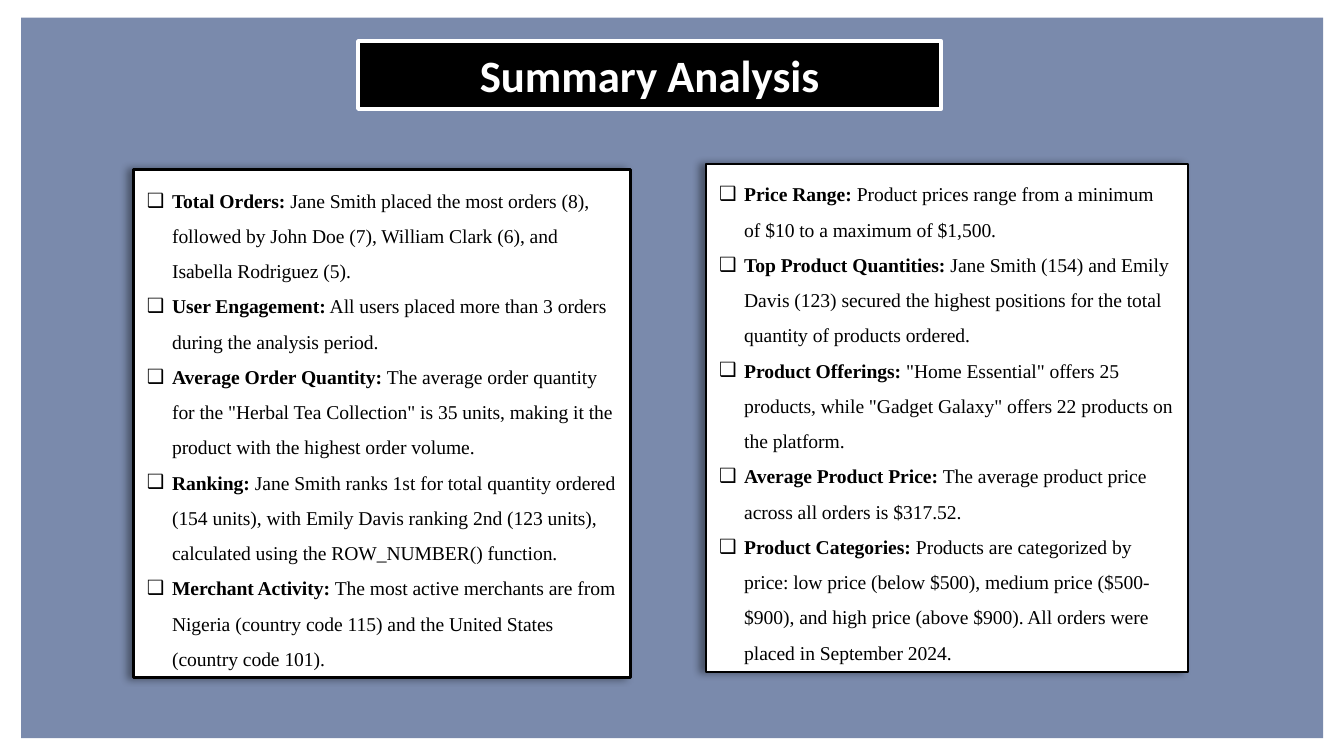
import pptx
import pptx.util
import pptx.dml.color
import pptx.enum.shapes
import pptx.enum.text
import pptx.oxml
import pptx.oxml.ns

Pt = pptx.util.Pt
ANCHOR = pptx.enum.text.MSO_ANCHOR
ALIGN = pptx.enum.text.PP_ALIGN
AUTO_SIZE = pptx.enum.text.MSO_AUTO_SIZE
NAMESPACE = pptx.oxml.ns.nsdecls("a")

COLOURS = {"navy": "002060", "black": "000000", "white": "FFFFFF"}
INDENT = 13.5

ORDER_FINDINGS = [
    ("Total Orders:", " Jane Smith placed the most orders (8), followed by John Doe (7), "
     "William Clark (6), and Isabella Rodriguez (5)."),
    ("User Engagement:", " All users placed more than 3 orders during the analysis period."),
    ("Average Order Quantity:", ' The average order quantity for the "Herbal Tea Collection" '
     "is 35 units, making it the product with the highest order volume."),
    ("Ranking:", " Jane Smith ranks 1st for total quantity ordered (154 units), with Emily "
     "Davis ranking 2nd (123 units), calculated using the ROW_NUMBER() function."),
    ("Merchant Activity:", " The most active merchants are from Nigeria (country code 115) "
     "and the United States (country code 101)."),
]
PRODUCT_FINDINGS = [
    ("Price Range:", " Product prices range from a minimum of $10 to a maximum of $1,500."),
    ("Top Product Quantities:", " Jane Smith (154) and Emily Davis (123) secured the highest "
     "positions for the total quantity of products ordered."),
    ("Product Offerings:", ' "Home Essential" offers 25 products, while "Gadget Galaxy" '
     "offers 22 products on the platform."),
    ("Average Product Price:", " The average product price across all orders is $317.52."),
    ("Product Categories:", " Products are categorized by price: low price (below $500), "
     "medium price ($500-$900), and high price (above $900). All orders were placed in "
     "September 2024."),
]


def colour(name):
    return pptx.dml.color.RGBColor.from_string(COLOURS[name])


def place(shape, box):
    shape.left, shape.top, shape.width, shape.height = [Pt(length) for length in box]


def paint(shape, fill, line, weight):
    shape.fill.solid()
    shape.fill.fore_color.rgb = colour(fill)
    shape.line.color.rgb = colour(line)
    shape.line.width = Pt(weight)


def prepare_frame(shape, anchor):
    frame = shape.text_frame
    frame.word_wrap = True
    frame.auto_size = AUTO_SIZE.NONE
    frame.vertical_anchor = anchor
    return frame


def add_span(para, text, font, size, ink, bold):
    span = para.add_run()
    span.text = text
    span.font.name = font
    span.font.size = Pt(size)
    span.font.bold = bold
    span.font.color.rgb = colour(ink)


def add_backdrop(page, box):
    backdrop = page.shapes.add_shape(
        pptx.enum.shapes.MSO_SHAPE.RECTANGLE, *[Pt(length) for length in box])
    backdrop.shadow.inherit = False
    backdrop.fill.solid()
    backdrop.fill.fore_color.rgb = colour("navy")
    backdrop.line.fill.background()
    tint = backdrop.fill._xPr.find(".//" + pptx.oxml.ns.qn("a:srgbClr"))
    tint.append(pptx.oxml.parse_xml(f'<a:alpha {NAMESPACE} val="52000"/>'))
    page.shapes._spTree.insert(2, backdrop._element)


def fill_title(title, box):
    place(title, box)
    paint(title, "black", "white", 2)
    para = prepare_frame(title, ANCHOR.MIDDLE).paragraphs[0]
    para.alignment = ALIGN.CENTER
    add_span(para, "Summary Analysis", "Calibri", 24, "white", True)


def add_shadow(shape):
    shape._element.spPr.append(pptx.oxml.parse_xml(
        f'<a:effectLst {NAMESPACE}>'
        f'<a:outerShdw blurRad="{Pt(4)}" dist="{Pt(3)}" dir="10800000" algn="r" rotWithShape="0">'
        f'<a:srgbClr val="{COLOURS["black"]}"><a:alpha val="40000"/></a:srgbClr>'
        '</a:outerShdw></a:effectLst>'))


def fill_findings(body, box, findings, weight, anchor):
    place(body, box)
    paint(body, "white", "black", weight)
    add_shadow(body)
    frame = prepare_frame(body, anchor)
    for index, (label, detail) in enumerate(findings):
        para = frame.add_paragraph() if index else frame.paragraphs[0]
        properties = para._p.get_or_add_pPr()
        properties.set("marL", str(Pt(INDENT)))
        properties.set("indent", str(-Pt(INDENT)))
        properties.append(pptx.oxml.parse_xml(f'<a:buChar {NAMESPACE} char="❑"/>'))
        para.alignment = ALIGN.LEFT
        para.line_spacing = 1.5
        para.space_before = Pt(0)
        add_span(para, label, "Times New Roman", 10.5, "black", True)
        add_span(para, detail, "Times New Roman", 10.5, "black", False)


def main():
    deck = pptx.Presentation()
    deck.slide_width, deck.slide_height = Pt(720), Pt(405)
    page = deck.slides.add_slide(deck.slide_layouts[3])
    add_backdrop(page, (11.4, 9.5, 697.5, 386))
    fill_title(page.shapes.title, (191.8, 22, 312.5, 36.4))
    fill_findings(page.placeholders[1], (71.5, 90.8, 266.4, 272.2),
                  ORDER_FINDINGS, 1.5, ANCHOR.MIDDLE)
    fill_findings(page.placeholders[2], (378, 87.8, 258.5, 272.2),
                  PRODUCT_FINDINGS, 1, ANCHOR.TOP)
    deck.save("out.pptx")


if __name__ == "__main__":
    main()
